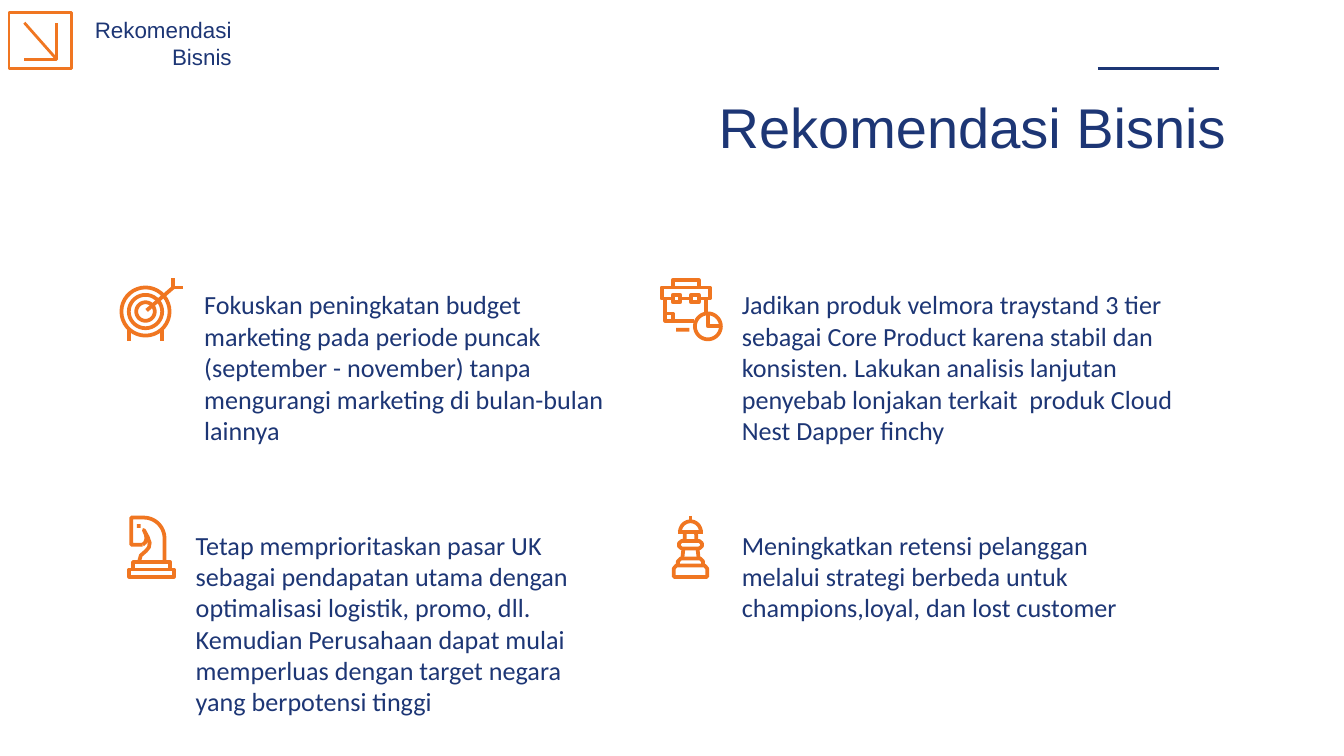
import math

from lxml import etree
from pptx import Presentation
from pptx import util as u
from pptx.dml.color import RGBColor
from pptx.enum import shapes, text
from pptx.oxml.ns import qn

COLORS = {"navy": "1D3675", "orange": "F07621"}
UNIT = 0.07  # cm per icon grid step; icon strokes are one step wide

deck = Presentation()
deck.slide_width, deck.slide_height = u.Cm(25.4), u.Cm(14.29)
page = deck.slides.add_slide(deck.slide_layouts[6])


def arc(x, y, radius, start=0, end=360):
    """Points along an arc, with angles in degrees clockwise from the right."""
    angles = [math.radians(start + (end - start) * i / 36) for i in range(37)]
    return [(x + radius * math.cos(a), y + radius * math.sin(a)) for a in angles]


def draw(left, top, contours, unit=UNIT, width=2):
    """Draw open or closed strokes as one orange outline."""
    runs = [[(u.Cm(left + x * unit), u.Cm(top + y * unit)) for x, y in contour]
            for contour in contours]
    builder = page.shapes.build_freeform(*runs[0][0])
    for number, points in enumerate(runs):
        if number:
            builder.move_to(*points[0])
        builder.add_line_segments(points[1:], close=points[0] == points[-1])
    outline = builder.convert_to_shape()
    outline.shadow.inherit = False
    outline.fill.background()
    outline.line.color.rgb = RGBColor.from_string(COLORS["orange"])
    outline.line.width = u.Pt(width)


# Rule above the title and diagonal of the corner arrow
for x1, y1, x2, y2, color in [(20.75, 1.3, 23.04, 1.3, "navy"),
                              (0.46, 0.43, 1.07, 1.12, "orange")]:
    rule = page.shapes.add_connector(shapes.MSO_CONNECTOR.STRAIGHT,
                                     u.Cm(x1), u.Cm(y1), u.Cm(x2), u.Cm(y2))
    rule.line.color.rgb = RGBColor.from_string(COLORS[color])
    rule.line.width = u.Pt(1.5)
    etree.SubElement(rule._element.spPr, qn("a:effectLst"))

# Corner arrow: frame and arrowhead
frame = page.shapes.add_shape(shapes.MSO_SHAPE.RECTANGLE,
                              u.Cm(0.17), u.Cm(0.23), u.Cm(1.19), u.Cm(1.07))
frame.shadow.inherit = False
frame.fill.background()
frame.line.color.rgb = RGBColor.from_string(COLORS["orange"])
frame.line.width = u.Pt(1.5)
draw(0, 0, [[(0.46, 1.12), (1.07, 1.12), (1.07, 0.43)]], unit=1, width=1.5)

# Target icon
draw(2.26, 5.26, [
    *[arc(7, 9, radius) for radius in (6.5, 4.5, 2.5)],
    [(7.3, 8.7), (14.5, 2.5)],
    [(14.5, 0), (14.5, 2.5), (17, 2.5)],
    *[[(x, 13.8), (x, 17)] for x in (2.5, 11.5)],
])

# Briefcase icon with pie chart
draw(12.47, 5.26, [
    [(3.5, 2.5), (3.5, 0.5), (10.5, 0.5), (10.5, 2.5)],
    [(3.5, 5.5), (0.5, 5.5), (0.5, 2.5), (13.5, 2.5), (13.5, 5.5), (10.5, 5.5)],
    [(5.5, 5.5), (8.5, 5.5)],
    *[[(x, 4.5), (x + 2, 4.5), (x + 2, 6.5), (x, 6.5), (x, 4.5)] for x in (3.5, 8.5)],
    [(1.5, 5.5), (1.5, 11.5), (9.2, 11.5)],
    [(12.5, 5.5), (12.5, 9)],
    [(1.5, 9.5), (3.5, 9.5), (3.5, 11.5)],
    arc(13, 13, 3.5),
    [(13, 9.5), (13, 13), (16.5, 13)],
])

# Knight icon
draw(2.41, 9.75, [
    [(0.5, 14.5), (12.5, 14.5), (12.5, 16.5), (0.5, 16.5), (0.5, 14.5)],
    [(1.5, 14.5), (1.5, 12.5), (11.5, 12.5), (11.5, 14.5)],
    [(4.1, 7.8), (1, 7.8), (1, 0.5), *arc(4.4, 6.1, 5.6, -90, 0), (10, 12.5)],
    [(4.1, 7.8), (4.8, 7.2), (5.1, 6.3), (5, 5.2), (4.4, 3.8), (5.5, 5.8),
     (6, 7.3), (5.8, 8.5), (5, 9.5), (3.6, 10.7), (3.1, 12.5)],
])

# Chess tower icon
draw(12.7, 9.75, [
    [(0.5, 16.5), (0.5, 14.2), (1.2, 13.4), (8.8, 13.4), (9.5, 14.2), (9.5, 16.5),
     (0.5, 16.5)],
    [(1.6, 13.4), (1.6, 12.3), (2.4, 11.5), (7.6, 11.5), (8.4, 12.3), (8.4, 13.4)],
    [(2.6, 6.8), (7.4, 6.8), (8.1, 7.4), (8.1, 8.2), (7.4, 8.8), (2.6, 8.8),
     (1.9, 8.2), (1.9, 7.4), (2.6, 6.8)],
    *[[(5 + side * 2.2, 11.5), (5 + side * 1.9, 8.8)] for side in (-1, 1)],
    *[[(5 + side * 1.6, 6.8), (5 + side * 1.5, 4.4)] for side in (-1, 1)],
    [(1.5, 4.4), (8.5, 4.4)],
    arc(5, 4.3, 2.8, 180, 360),
    [(5, 0), (5, 1.5)],
])

# Solid details: briefcase dash and knight's eye
for left, top, width, height in [(12.78, 6.2, 0.25, 0.07), (2.59, 9.91, 0.07, 0.07)]:
    detail = page.shapes.add_shape(shapes.MSO_SHAPE.RECTANGLE,
                                   u.Cm(left), u.Cm(top), u.Cm(width), u.Cm(height))
    detail.shadow.inherit = False
    detail.fill.solid()
    detail.fill.fore_color.rgb = RGBColor.from_string(COLORS["orange"])
    detail.line.fill.background()

# Title, section label and the four recommendations
texts = [
    (1.98, 1.5, 21.44, 1.63, "Arial", 30, "Rekomendasi Bisnis"),
    (1.07, 0.05, 3.56, 1.4, "Arial", 12, "Rekomendasi Bisnis"),
    (3.61, 5.21, 8.38, 2.08, "Calibri", 14,
     "Fokuskan peningkatan budget marketing pada periode puncak (september - november) "
     "tanpa mengurangi marketing di bulan-bulan lainnya"),
    (13.77, 5.21, 9.65, 2.08, "Calibri", 14,
     "Jadikan produk velmora traystand 3 tier sebagai Core Product karena stabil dan "
     "konsisten. Lakukan analisis lanjutan penyebab lonjakan terkait  produk Cloud "
     "Nest Dapper finchy"),
    (3.45, 9.75, 8.38, 2.08, "Calibri", 14,
     "Tetap memprioritaskan pasar UK sebagai pendapatan utama dengan optimalisasi "
     "logistik, promo, dll. Kemudian Perusahaan dapat mulai memperluas dengan target "
     "negara yang berpotensi tinggi"),
    (13.77, 9.75, 8.38, 2.08, "Calibri", 14,
     "Meningkatkan retensi pelanggan melalui strategi berbeda untuk champions,loyal, "
     "dan lost customer"),
]
for left, top, width, height, font, size, words in texts:
    box = page.shapes.add_textbox(u.Cm(left), u.Cm(top), u.Cm(width), u.Cm(height))
    body = box.text_frame
    body.word_wrap = True
    body.vertical_anchor = text.MSO_ANCHOR.TOP
    body.margin_left = body.margin_right = u.Cm(0.25)
    body.margin_top = body.margin_bottom = u.Cm(0.25)
    body.text = words
    para = body.paragraphs[0]
    para.alignment = text.PP_ALIGN.RIGHT if font == "Arial" else text.PP_ALIGN.LEFT
    span = para.runs[0]
    span.font.name = font
    span.font.size = u.Pt(size)
    span.font.color.rgb = RGBColor.from_string(COLORS["navy"])

deck.save("out.pptx")
